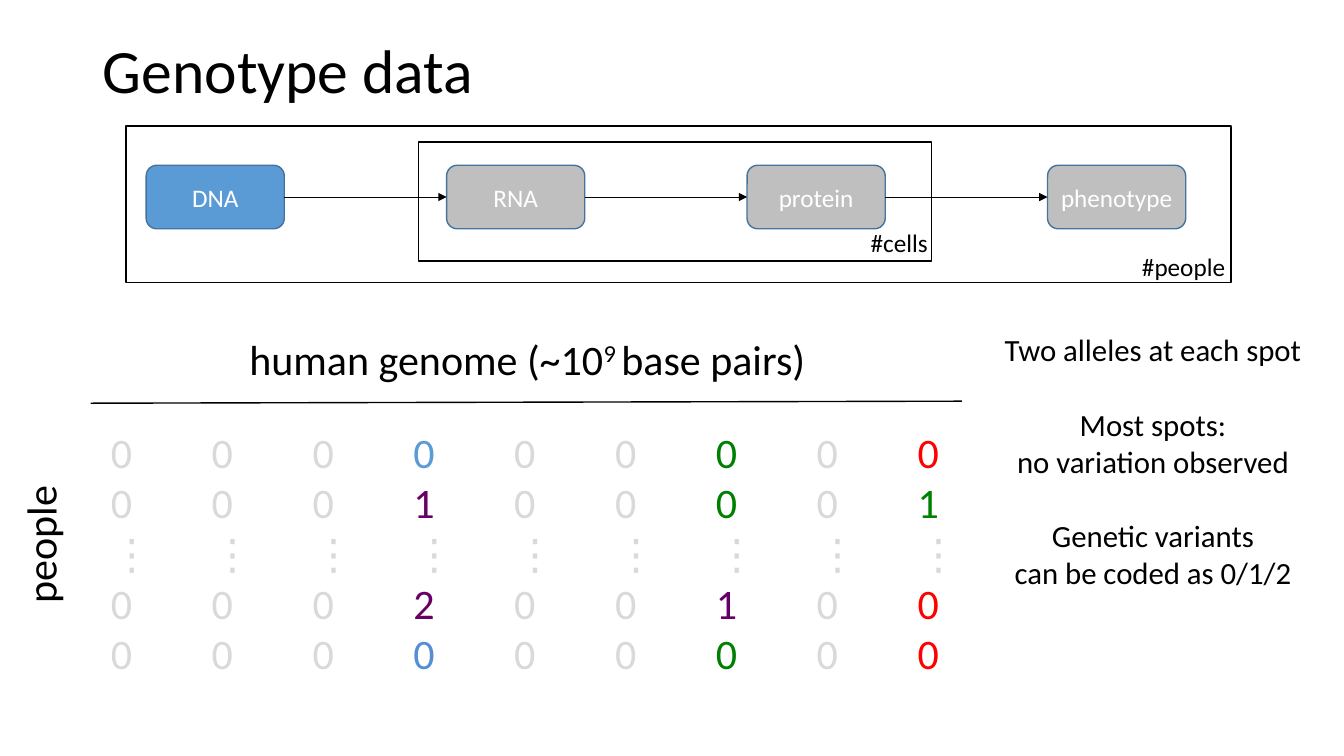
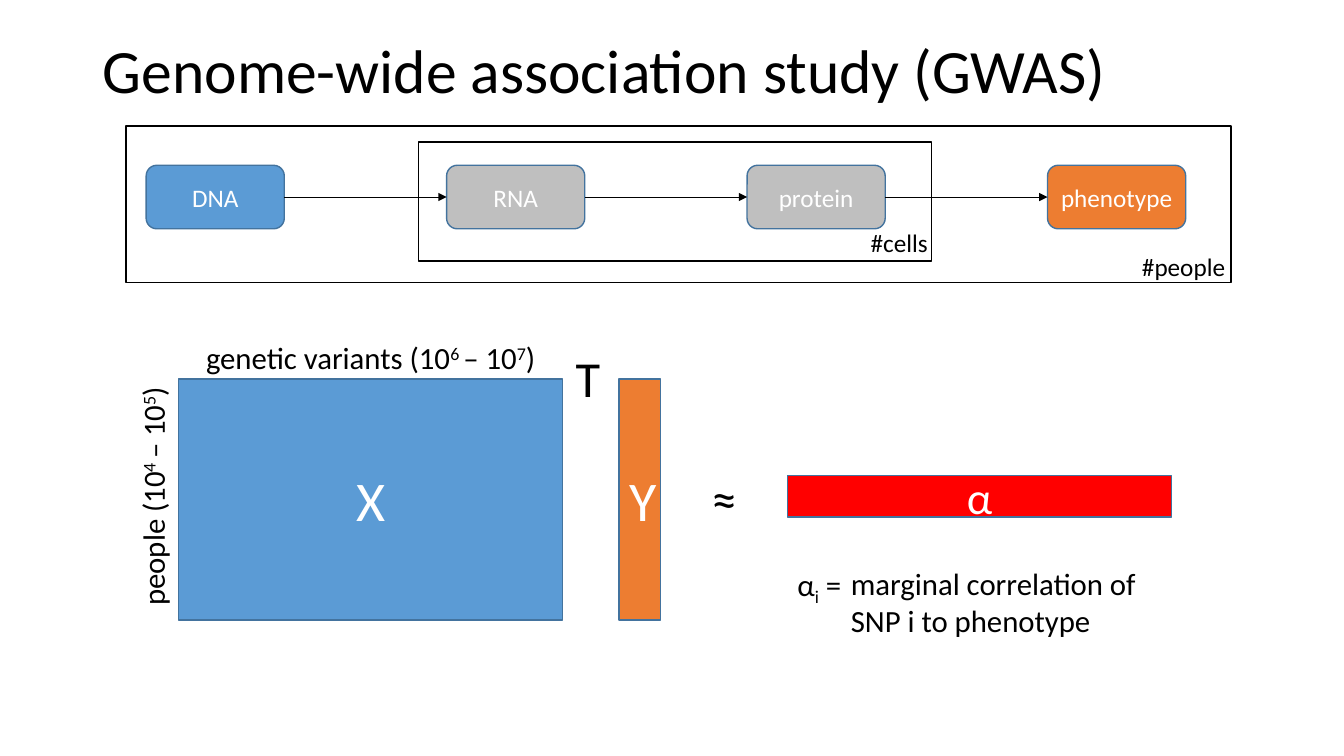
import pptx
import pptx.util
import pptx.dml.color
import pptx.enum.shapes
import pptx.enum.text
import pptx.oxml.ns
import lxml.etree

Inches = pptx.util.Inches
Pt = pptx.util.Pt
qn = pptx.oxml.ns.qn
Form = pptx.enum.shapes.MSO_SHAPE
Align = pptx.enum.text.PP_ALIGN
Anchor = pptx.enum.text.MSO_ANCHOR
Fit = pptx.enum.text.MSO_AUTO_SIZE

FONT = "Calibri"
INK = {
    "black": "000000", "white": "FFFFFF", "edge": "43739E",
    "blue": "5B9BD5", "gray": "BFBFBF", "orange": "ED7D31", "red": "FF0000",
    "pale": "D9D9D9", "green": "008000", "purple": "660066", "sky": "558ED5",
}
CODES = {"-": "pale", "b": "blue", "g": "green", "p": "purple", "r": "red", "s": "sky"}
GENES = [
    ("000000000", "---b--g-r"),
    ("000100001", "---p--g-g"),
    ("⋮⋮⋮⋮⋮⋮⋮⋮⋮", "---------"),
    ("000200100", "---p--p-r"),
    ("000000000", "---s--g-r"),
]


def tint(name):
    return pptx.dml.color.RGBColor.from_string(INK[name])


def place(box):
    return [Inches(n) for n in box]


def style(para, size, color="black", align=Align.LEFT):
    para.alignment = align
    para.font.name = FONT
    para.font.size = Pt(size)
    para.font.color.rgb = tint(color)


def write(para, parts):
    for part in parts:
        words, base = part if isinstance(part, tuple) else (part, 0)
        run = para.add_run()
        run.text = words
        if base:
            run._r.get_or_add_rPr().set("baseline", str(base * 1000))


def label(host, box, parts, size, align=Align.CENTER, wrap=True, turn=0):
    area = host.add_textbox(*place(box))
    area.rotation = turn
    frame = area.text_frame
    frame.word_wrap = wrap
    frame.auto_size = Fit.SHAPE_TO_FIT_TEXT
    write(frame.paragraphs[0], parts)
    style(frame.paragraphs[0], size, align=align)
    return area


def block(host, box, words, size, fill, form=Form.RECTANGLE):
    shape = host.add_shape(form, *place(box))
    shape.shadow.inherit = False
    shape.fill.solid()
    shape.fill.fore_color.rgb = tint(fill)
    shape.line.color.rgb = tint("edge")
    shape.line.width = Pt(1)
    frame = shape.text_frame
    frame.vertical_anchor = Anchor.MIDDLE
    write(frame.paragraphs[0], [words])
    style(frame.paragraphs[0], size, "white", Align.CENTER)
    return shape


def border(host, box):
    shape = host.add_shape(Form.RECTANGLE, *place(box))
    shape.shadow.inherit = False
    shape.fill.background()
    shape.line.color.rgb = tint("black")
    shape.line.width = Pt(1)


def wire(host, start, end, width):
    line = host.add_connector(
        pptx.enum.shapes.MSO_CONNECTOR.STRAIGHT, *place(start + end))
    line.line.color.rgb = tint("black")
    line.line.width = Pt(width)
    lxml.etree.SubElement(line._element.spPr, qn("a:effectLst"))
    return line


def arrow(host, left, right):
    line = wire(host, (0, 0), (1, 0), 0.5)
    line.begin_connect(left, 3)
    line.end_connect(right, 1)
    stroke = line._element.spPr.find(qn("a:ln"))
    lxml.etree.SubElement(stroke, qn("a:tailEnd"), type="triangle")


def begin(deck, words):
    slide = deck.slides.add_slide(deck.slide_layouts[5])
    title = slide.shapes.title
    title.left, title.top, title.width, title.height = place((0.92, 0, 11.5, 1.45))
    frame = title.text_frame
    frame.auto_size = Fit.NONE
    frame.vertical_anchor = Anchor.MIDDLE
    para = frame.paragraphs[0]
    write(para, [words])
    style(para, 44)
    para.line_spacing = 0.9
    return slide.shapes


def chain(host, box, fills):
    x, y, w, h = box
    steps = []
    for i, (name, fill) in enumerate(zip(("DNA", "RNA", "protein", "phenotype"), fills)):
        spot = (x + 0.2 + 2.98 * i, y + 0.39, 1.37, 0.63)
        steps.append(block(host, spot, name, 18, fill, Form.ROUNDED_RECTANGLE))
    for left, right in zip(steps, steps[1:]):
        arrow(host, left, right)
    border(host, box)
    label(host, (x + w - 1, y + h - 0.36, 1.04, 0.4), ["#people"], 18, Align.RIGHT, False)
    cells = host.add_group_shape().shapes
    border(cells, (x + 2.9, y + 0.16, 5.09, 1.18))
    tag = label(cells, (x + 7.26, y + 0.96, 0.79, 0.4), ["#cells"], 18, Align.RIGHT)
    tag.text_frame.vertical_anchor = Anchor.MIDDLE


def matrix(host, box):
    x, y, w, h = box
    wire(host, (x + 0.09, y + 0.74), (x + 8.73, y + 0.72), 1)
    label(host, (x + 0.11, y, 8.62, 0.61), ["human genome (~10", ("9 ", 30), "base pairs)"], 30)
    label(host, (x - 1.81, y + 1.84, 2.8, 0.61), ["people"], 30, turn=270)
    grid = host.add_textbox(*place((x, y + 0.92, w, h - 0.92)))
    frame = grid.text_frame
    frame.word_wrap = True
    frame.auto_size = Fit.SHAPE_TO_FIT_TEXT
    frame.margin_left = Inches(0.29)
    for i, (marks, codes) in enumerate(GENES):
        para = frame.add_paragraph() if i else frame.paragraphs[0]
        style(para, 30)
        tabs = lxml.etree.Element(qn("a:tabLst"))
        para._p.get_or_add_pPr().insert(0, tabs)
        for j, (mark, code) in enumerate(zip(marks, codes)):
            if j:
                lxml.etree.SubElement(tabs, qn("a:tab"), pos=str(Inches(j)), algn="l")
            run = para.add_run()
            run.text = "\t" + mark if j else mark
            run.font.color.rgb = tint(CODES[code])


def notes(host, box):
    area = label(host, box, ["Two alleles at each spot"], 22)
    for words, gap in (("Most spots:", 27), ("no variation observed", 0),
                       ("Genetic variants", 27), ("can be coded as 0/1/2", 0)):
        para = area.text_frame.add_paragraph()
        write(para, [words])
        style(para, 22, align=Align.CENTER)
        para.space_before = Pt(gap)


def product(host, box):
    x, y, w, h = box
    label(host, (x + w + 0.03, y - 0.37, 0.45, 0.71), ["T"], 36, Align.LEFT, False)
    block(host, (x + w + 0.56, y, 0.41, h), "Y", 40, "orange")
    label(host, (x + w + 1.38, y + 0.82, 0.45, 0.71), ["≈"], 36, Align.LEFT, False)
    block(host, box, "X", 40, "blue")
    label(host, (x - 1.48, y + 0.93, 2.45, 0.47),
          ["people (10", ("4 ", 30), "– 10", ("5", 30), ")"], 22, wrap=False, turn=270)
    label(host, (x, y - 0.45, w, 0.47),
          ["genetic variants (10", ("6 ", 30), "– 10", ("7", 30), ")"], 22)


def result(host, box):
    x, y, w, h = box
    block(host, (x, y, w, 0.41), "α", 32, "red")
    key = host.add_group_shape().shapes
    label(key, (x + 0.53, y + 0.83, 3.29, 0.84),
          ["marginal correlation of SNP i to phenotype"], 22, Align.LEFT)
    label(key, (x, y + 0.84, 0.71, 0.47), ["α", ("i", -25), " = "], 22, Align.LEFT, False)


def main():
    deck = pptx.Presentation()
    deck.slide_width, deck.slide_height = place((13.33, 7.5))
    band = (1.25, 1.25, 10.96, 1.55)

    data = begin(deck, "Genotype data")
    chain(data, band, ("blue", "gray", "gray", "gray"))
    matrix(data, (0.81, 3.26, 8.91, 3.55))
    notes(data, (9.83, 3.23, 3.21, 3.06))

    study = begin(deck, "Genome-wide association study (GWAS)")
    chain(study, band, ("blue", "gray", "gray", "orange"))
    product(study, (1.77, 3.76, 3.81, 2.39))
    result(study, (7.81, 4.72, 3.81, 1.67))

    deck.save("out.pptx")


main()
